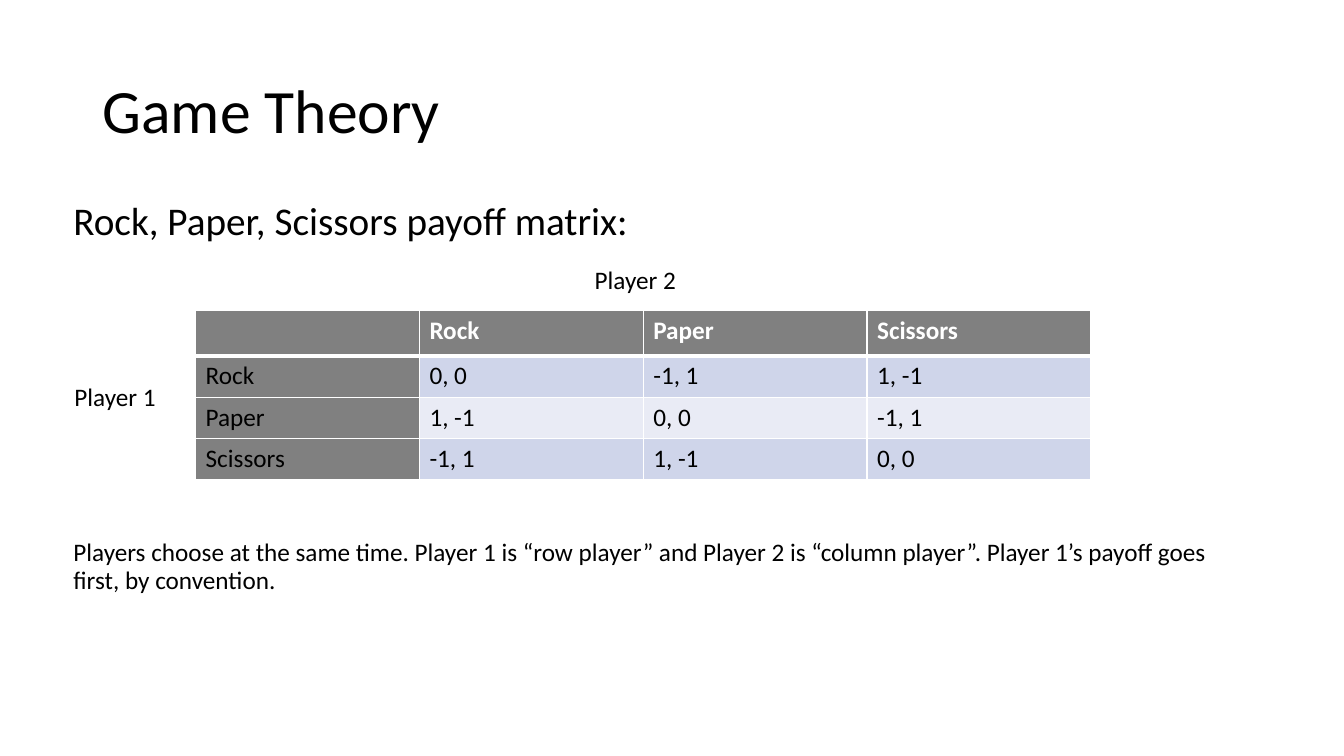
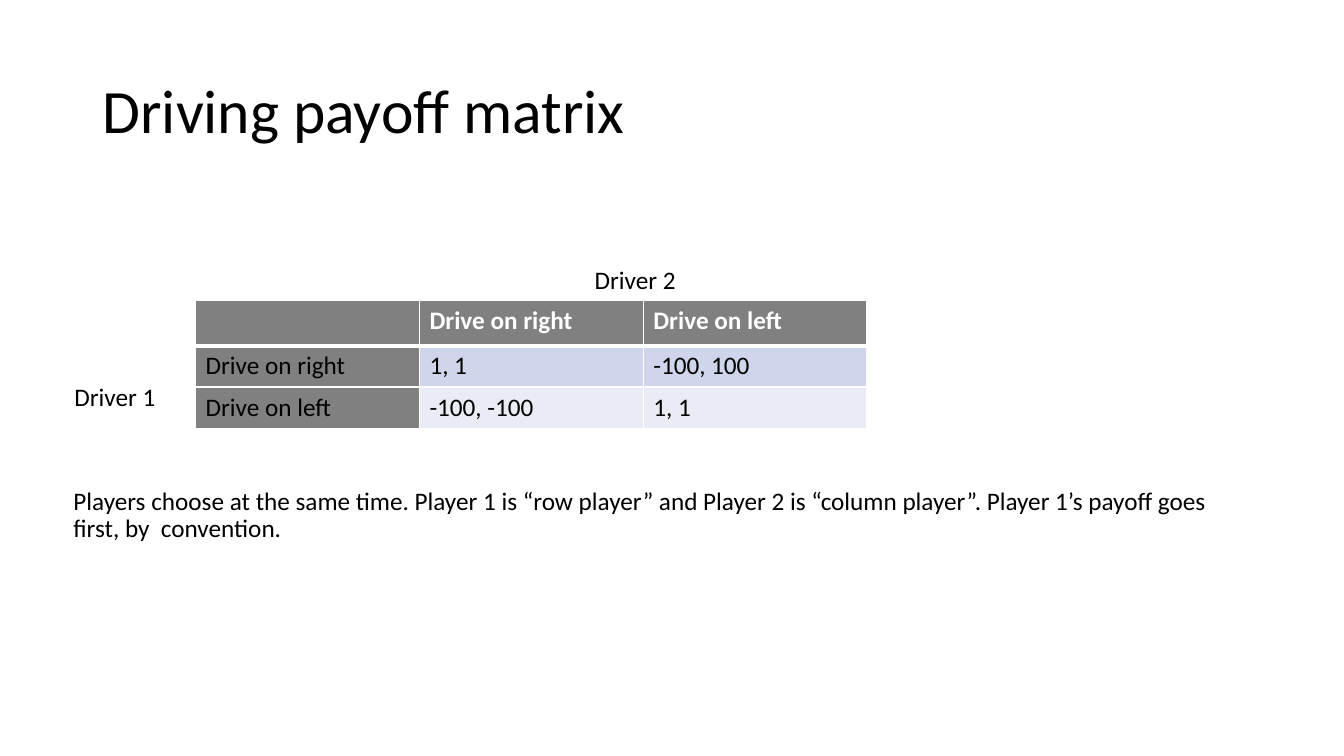
from dataclasses import dataclass

from pptx import Presentation
from pptx import util as u
from pptx.dml import color
from pptx.enum import text as t
from pptx.oxml import parse_xml
from pptx.oxml import ns


@dataclass(frozen=True)
class Theme:
    """Colours, font and type sizes of the deck."""
    font: str = "Calibri"
    ink: str = "000000"
    paper: str = "FFFFFF"
    head: str = "808080"
    bands: tuple = ("CFD5EA", "E9EBF5")
    title: int = 44
    lead: int = 28
    body: int = 18
    thin: int = 1
    thick: int = 3


THEME = Theme()
COL, TOP_ROW, ROW = 2.22, 0.45, 0.41


def write(frame, words, size=THEME.body, ink=THEME.ink, bold=False, space=1.0):
    """Put formatted words into a text frame."""
    para = frame.paragraphs[0]
    para.line_spacing = space
    run = para.add_run()
    run.text = words
    font = run.font
    font.name, font.size, font.bold = THEME.font, u.Pt(size), bold
    font.color.rgb = color.RGBColor.from_string(ink)


def label(slide, box, words, wrap=True, anchor=t.MSO_ANCHOR.TOP, **style):
    """Add a text box at (left, top, width, height)."""
    frame = slide.shapes.add_textbox(*map(u.Inches, box)).text_frame
    frame.word_wrap = wrap
    frame.vertical_anchor = anchor
    write(frame, words, **style)


def edge(cell, side, width):
    """Draw one border of a cell."""
    cell._tc.get_or_add_tcPr().append(parse_xml(
        f'<a:ln{side} {ns.nsdecls("a")} w="{u.Pt(width)}"><a:solidFill>'
        f'<a:srgbClr val="{THEME.paper}"/></a:solidFill></a:ln{side}>'))


def paint(cell, row, col):
    """Give a cell its borders and fill."""
    above = THEME.thick if row == 1 else THEME.thin
    below = THEME.thick if row == 0 else THEME.thin
    for side, width in zip("LRTB", (THEME.thin, THEME.thin, above, below)):
        edge(cell, side, width)
    banded = row > 0 and col > 0
    fill = THEME.bands[(row - 1) % 2] if banded else THEME.head
    cell.fill.solid()
    cell.fill.fore_color.rgb = color.RGBColor.from_string(fill)


def matrix(slide, left, top, moves, payoffs):
    """Add a payoff table with the moves along both sides."""
    rows = [["", *moves]] + [[m, *p] for m, p in zip(moves, payoffs)]
    size = len(rows)
    table = slide.shapes.add_table(
        size, size, u.Inches(left), u.Inches(top), u.Inches(COL * size),
        u.Inches(TOP_ROW + ROW * (size - 1))).table
    for col in table.columns:
        col.width = u.Inches(COL)
    for i, words in enumerate(rows):
        table.rows[i].height = u.Inches(ROW if i else TOP_ROW)
        for j, word in enumerate(words):
            cell = table.cell(i, j)
            paint(cell, i, j)
            if word:
                write(cell.text_frame, word, bold=i == 0,
                      ink=THEME.ink if i else THEME.paper)


def game(deck, title, role, top, moves, payoffs, note, foot, lead=None):
    """Build a slide that shows one two-player game."""
    slide = deck.slides.add_slide(deck.slide_layouts[6])
    label(slide, (0.92, 0.4, 11.5, 1.45), title, size=THEME.title,
          anchor=t.MSO_ANCHOR.MIDDLE, space=0.9)
    if lead:
        label(slide, (0.63, 1.95, 11.5, 0.55), lead, size=THEME.lead, space=0.9)
    matrix(slide, 1.94, top, moves, payoffs)
    label(slide, (5.8, 2.57, 1.02, 0.4), f"{role} 2", wrap=False)
    label(slide, (0.64, 3.73, 1.02, 0.4), f"{role} 1", wrap=False)
    label(slide, (0.63, foot, 11.5, 0.65), note, space=0.9)


def main():
    """Build and save the deck."""
    deck = Presentation()
    deck.slide_width, deck.slide_height = u.Inches(13.33), u.Inches(7.5)
    tie, win, loss = "0, 0", "1, -1", "-1, 1"
    note = ("Players choose at the same time. Player 1 is “row player” and "
            "Player 2 is “column player”. Player 1’s payoff goes first, by{}convention.")
    game(deck, "Game Theory", "Player", 3.08, ["Rock", "Paper", "Scissors"],
         [[tie, loss, win], [win, tie, loss], [loss, win, tie]],
         note.format(" "), 5.31, lead="Rock, Paper, Scissors payoff matrix:")
    game(deck, "Driving payoff matrix", "Driver", 2.98,
         ["Drive on right", "Drive on left"],
         [["1, 1", "-100, 100"], ["-100, -100", "1, 1"]],
         note.format("  "), 4.8)
    deck.save("out.pptx")


if __name__ == "__main__":
    main()
